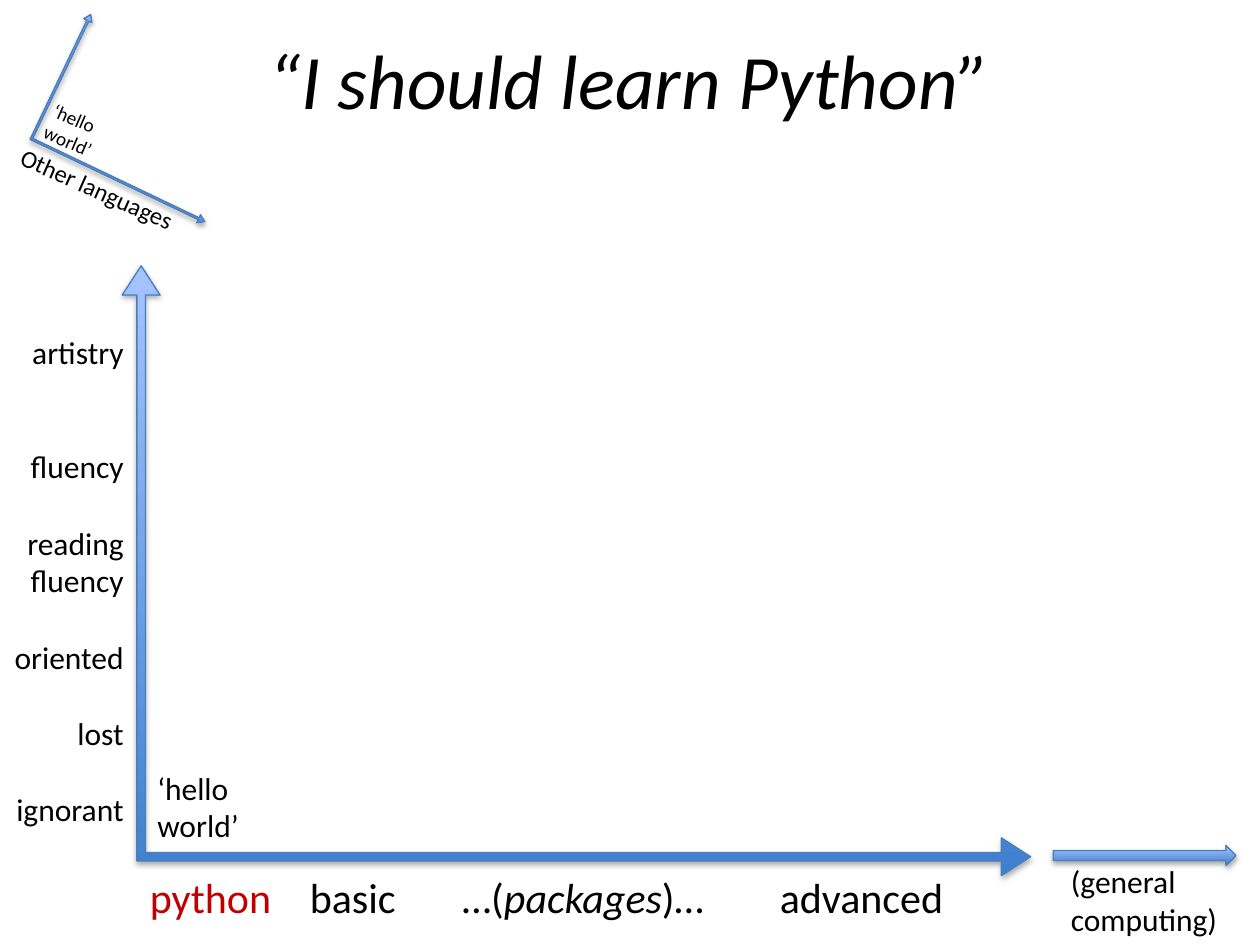
from pptx import Presentation
from pptx import util as u
from pptx.dml import color
from pptx.enum import shapes, text
from pptx.oxml import parse_xml
from pptx.oxml import ns

COLOURS = {"ink": "000000", "python": "C00000", "dark": "3F80CE",
           "light": "A4C4FF", "edge": "4B7EBC"}
FONT = "Calibri"
LINE = 22
LEVELS = [("artistry", 0), ("fluency", 2), ("reading fluency", 1),
          ("oriented", 1), ("lost", 1), ("ignorant", 1)]
STAGES = [("python", "python", False), ("\tbasic\t…(", "ink", False),
          ("packages", "ink", True), (")…\tadvanced", "ink", False)]
STAGE_TABS = [1.27, 2.48, 5]
AXES_HEADS = [0.014, 0.031, 0.048]


def rgb(name):
    """Return the named colour."""
    return color.RGBColor.from_string(COLOURS[name])


def add_span(para, words, size, colour="ink", italic=False):
    """Add one styled run to a paragraph."""
    span = para.add_run()
    span.text = words
    span.font.name = FONT
    span.font.size = u.Pt(size)
    span.font.italic = italic
    span.font.color.rgb = rgb(colour)


def add_box(page, place, wrap=True, angle=0):
    """Add an empty text box and return its frame."""
    box = page.shapes.add_textbox(*map(u.Inches, place))
    box.rotation = angle
    box.text_frame.word_wrap = wrap
    return box.text_frame


def add_title(page, place):
    """Place the centred italic title."""
    frame = add_box(page, place)
    frame.vertical_anchor = text.MSO_ANCHOR.MIDDLE
    para = frame.paragraphs[0]
    para.alignment = text.PP_ALIGN.CENTER
    add_span(para, "“I should learn Python”", 44, italic=True)


def add_note(page, place, lines, size, angle=0):
    """Place a short unwrapped label, one paragraph a line."""
    frame = add_box(page, place, False, angle)
    for index, line in enumerate(lines):
        para = frame.add_paragraph() if index else frame.paragraphs[0]
        add_span(para, line, size)


def add_levels(page, place):
    """Place the skill levels beside the vertical axis."""
    frame = add_box(page, place)
    for index, (level, gap) in enumerate(LEVELS):
        para = frame.add_paragraph() if index else frame.paragraphs[0]
        para.alignment = text.PP_ALIGN.RIGHT
        if gap:
            para.space_before = u.Pt(gap * LINE)
        add_span(para, level, 18)


def add_stages(page, place):
    """Place the topics under the horizontal axis at tab stops."""
    para = add_box(page, place).paragraphs[0]
    stops = "".join(f'<a:tab pos="{u.Inches(stop)}" algn="l"/>' for stop in STAGE_TABS)
    para._p.get_or_add_pPr().append(
        parse_xml(f'<a:tabLst {ns.nsdecls("a")}>{stops}</a:tabLst>'))
    for words, colour, italic in STAGES:
        add_span(para, words, 24, colour, italic)


def add_arrow(page, kind, place):
    """Add a gradient arrow with a soft shadow."""
    arrow = page.shapes.add_shape(kind, *map(u.Inches, place))
    arrow.fill.gradient()
    arrow.fill.gradient_angle = 90
    for stop, name, position in zip(arrow.fill.gradient_stops, ("dark", "light"), (0, 1)):
        stop.color.rgb = rgb(name)
        stop.position = position
    arrow.line.color.rgb = rgb("edge")
    arrow.line.width = u.Pt(0.75)
    arrow.shadow.inherit = False
    effects = arrow._element.spPr.find(ns.qn("a:effectLst"))
    effects.append(parse_xml(
        f'<a:outerShdw {ns.nsdecls("a")} blurRad="{u.Pt(3.1)}" dist="{u.Pt(1.8)}" '
        f'dir="5400000" rotWithShape="0"><a:srgbClr val="{COLOURS["ink"]}">'
        '<a:alpha val="35000"/></a:srgbClr></a:outerShdw>'))
    return arrow


def add_axes(page, place, angle=0):
    """Add a pair of axes joined at the lower left."""
    axes = add_arrow(page, shapes.MSO_SHAPE.LEFT_UP_ARROW, place)
    for index, value in enumerate(AXES_HEADS):
        axes.adjustments[index] = value
    axes.rotation = angle
    axes._element.spPr.xfrm.set("flipH", "1")


def add_python_chart(page, place):
    """Place the main axes with their labels around the given box."""
    left, top, width, height = place
    bottom = top + height
    hello = ["‘hello", "world’"]
    add_axes(page, place)
    add_levels(page, (0, top + 0.48, left + 0.11, 4.04))
    add_stages(page, (left + 0.12, bottom - 0.08, width - 0.4, 0.5))
    add_note(page, (left + 0.18, bottom - 0.9, 0.86, 0.71), hello, 18)


def add_general(page, place):
    """Place the general computing arrow and its label below."""
    left, top, width, height = place
    add_note(page, (left + 0.04, top + 0.08, 1.38, 0.71), ["(general", "computing)"], 18)
    add_arrow(page, shapes.MSO_SHAPE.RIGHT_ARROW, place)


def add_other_languages(page, place):
    """Place the small tilted axes with their labels."""
    left, top, width, height = place
    add_note(page, (left - 0.35, top + 0.96, 1.54, 0.34), ["Other languages"], 14, 24)
    add_axes(page, place, 25.5)
    add_note(page, (left - 0.09, top + 0.42, 0.6, 0.47), ["‘hello", "world’"], 11, 23.5)


def main():
    """Build and save the slide."""
    deck = Presentation()
    deck.slide_width, deck.slide_height = u.Inches(10), u.Inches(7.5)
    page = deck.slides.add_slide(deck.slide_layouts[6])
    add_title(page, (0, 0, 10, 1.25))
    add_python_chart(page, (0.97, 2.11, 7.21, 4.84))
    add_general(page, (8.36, 6.71, 1.45, 0.16))
    add_other_languages(page, (0.37, 0.38, 1.56, 1.13))
    deck.save("out.pptx")


if __name__ == "__main__":
    main()
